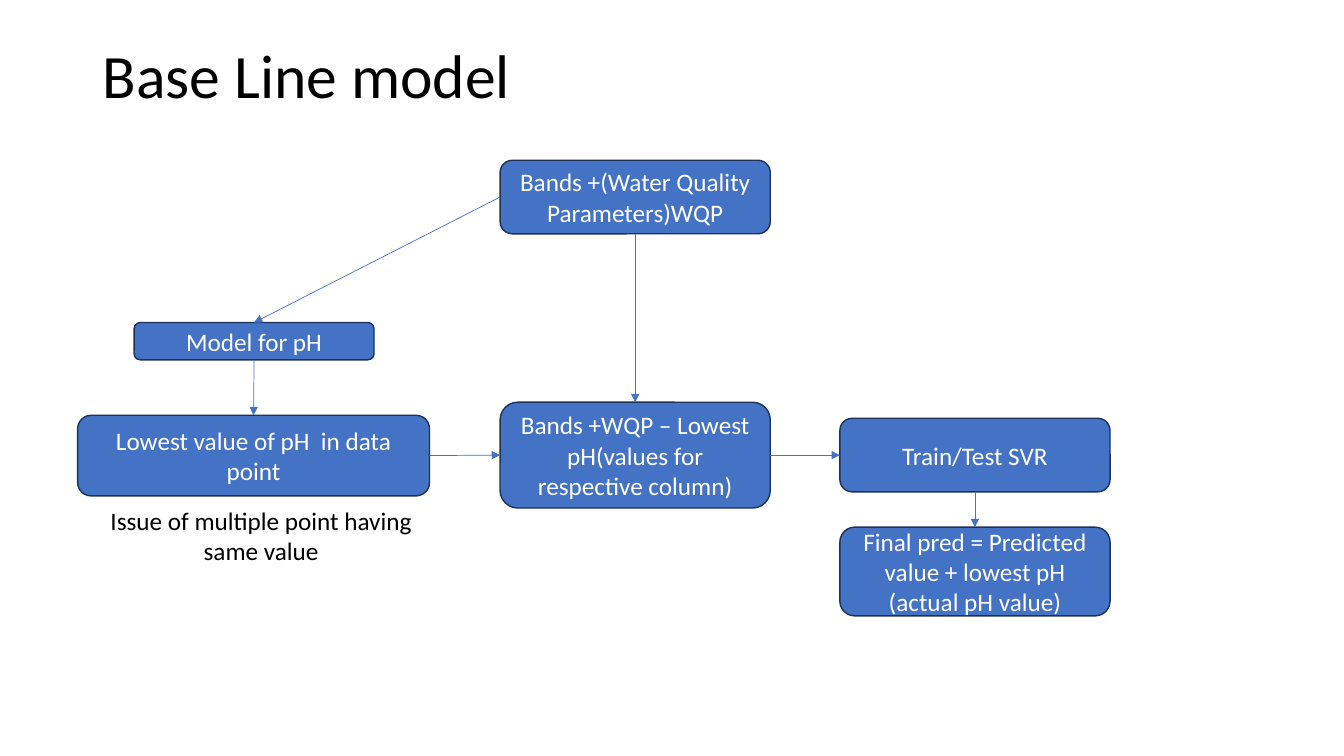
import pptx
import pptx.util
import pptx.dml.color
import pptx.enum.shapes
import pptx.enum.text
import pptx.oxml.ns
from dataclasses import dataclass
from lxml import etree

Inches = pptx.util.Inches
Shape = pptx.enum.shapes.MSO_SHAPE
Align = pptx.enum.text.PP_ALIGN
Anchor = pptx.enum.text.MSO_ANCHOR
Fit = pptx.enum.text.MSO_AUTO_SIZE
TOP, LEFT, BOTTOM, RIGHT = range(4)


@dataclass(frozen=True)
class Theme:
    font: str = "Calibri"
    head: int = 44
    body: int = 18
    edge: float = 1
    wire: float = 0.5
    ink: str = "000000"
    pale: str = "FFFFFF"
    blue: str = "4472C4"
    navy: str = "1E3256"


THEME = Theme()

BOXES = {
    "bands": (4.96, 1.59, 2.68, 0.73, "Bands +(Water Quality Parameters)WQP"),
    "model": (1.33, 3.2, 2.38, 0.37, "Model for pH"),
    "lowest": (0.77, 4.12, 3.49, 0.8, "Lowest value of pH  in data point"),
    "minus": (4.96, 3.99, 2.68, 1.05,
              "Bands +WQP – Lowest pH(values for respective column)"),
    "train": (8.33, 4.15, 2.68, 0.73, "Train/Test SVR"),
    "final": (8.33, 5.23, 2.68, 0.88,
              "Final pred = Predicted value + lowest pH (actual pH value)"),
}

LINKS = [
    ("bands", LEFT, "model", TOP),
    ("model", BOTTOM, "lowest", TOP),
    ("lowest", RIGHT, "minus", LEFT),
    ("bands", BOTTOM, "minus", TOP),
    ("minus", RIGHT, "train", LEFT),
    ("train", BOTTOM, "final", TOP),
]


def tint(code):
    return pptx.dml.color.RGBColor.from_string(code)


def apply(item, form):
    for name, value in form.items():
        setattr(item, name, value)


def write(shape, text, size, color, frame, para):
    body = shape.text_frame
    body.text = text
    apply(body, {"word_wrap": True, **frame})
    line = body.paragraphs[0]
    apply(line, para)
    font = line.runs[0].font
    apply(font, {"name": THEME.font, "size": pptx.util.Pt(size)})
    font.color.rgb = tint(color)


def add_title(slide, text):
    title = slide.shapes.title
    apply(title, {"left": Inches(0.92), "top": Inches(0.4),
                  "width": Inches(11.5), "height": Inches(1.45)})
    write(title, text, THEME.head, THEME.ink,
          {"vertical_anchor": Anchor.TOP, "auto_size": Fit.NONE},
          {"alignment": Align.LEFT, "line_spacing": 0.9})


def add_box(slide, left, top, width, height, text):
    box = slide.shapes.add_shape(
        Shape.ROUNDED_RECTANGLE, *map(Inches, (left, top, width, height)))
    box.shadow.inherit = False
    box.fill.solid()
    box.fill.fore_color.rgb = tint(THEME.blue)
    box.line.color.rgb = tint(THEME.navy)
    box.line.width = pptx.util.Pt(THEME.edge)
    write(box, text, THEME.body, THEME.pale,
          {"vertical_anchor": Anchor.MIDDLE}, {"alignment": Align.CENTER})
    return box


def add_note(slide, left, top, width, height, text):
    note = slide.shapes.add_textbox(*map(Inches, (left, top, width, height)))
    write(note, text, THEME.body, THEME.ink,
          {"auto_size": Fit.SHAPE_TO_FIT_TEXT}, {"alignment": Align.CENTER})


def add_arrow(slide, start, out, end, into):
    arrow = slide.shapes.add_connector(
        pptx.enum.shapes.MSO_CONNECTOR.STRAIGHT, 0, 0, 0, 0)
    arrow.begin_connect(start, out)
    arrow.end_connect(end, into)
    arrow.line.color.rgb = tint(THEME.blue)
    arrow.line.width = pptx.util.Pt(THEME.wire)
    qn = pptx.oxml.ns.qn
    etree.SubElement(arrow.line._get_or_add_ln(), qn("a:tailEnd"),
                     type="triangle")
    etree.SubElement(arrow._element.spPr, qn("a:effectLst"))


def main():
    deck = pptx.Presentation()
    apply(deck, {"slide_width": Inches(13.33), "slide_height": Inches(7.5)})
    slide = deck.slides.add_slide(deck.slide_layouts[5])
    add_title(slide, "Base Line model")
    boxes = {name: add_box(slide, *data) for name, data in BOXES.items()}
    for start, out, end, into in LINKS:
        add_arrow(slide, boxes[start], out, boxes[end], into)
    add_note(slide, 0.92, 4.96, 3.34, 0.71,
             "Issue of multiple point having same value")
    deck.save("out.pptx")


if __name__ == "__main__":
    main()
